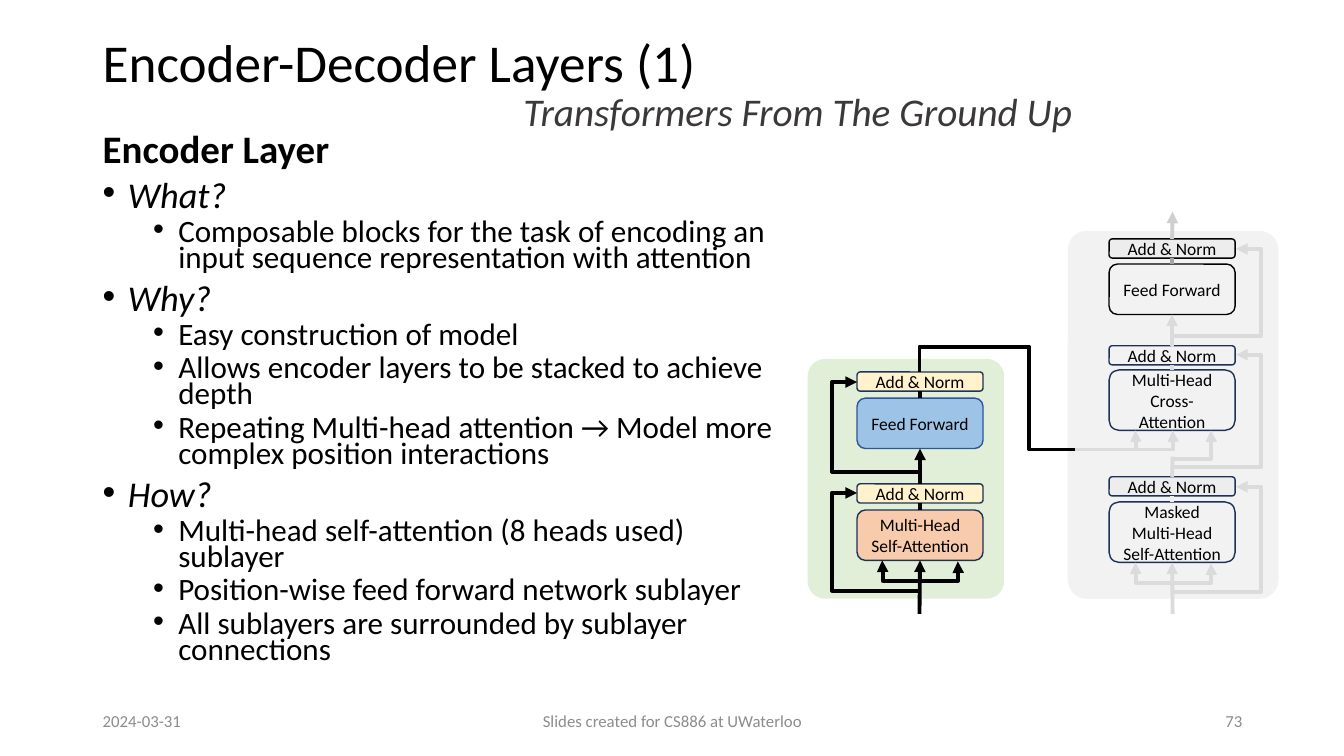
"""Build the slide on encoder and decoder layers of a transformer."""
from dataclasses import dataclass
from typing import Optional, Union

from lxml import etree
from pptx import Presentation
from pptx.dml.color import RGBColor
from pptx.enum import shapes, text
from pptx.oxml import ns
from pptx.util import Inches, Pt

BLACK = RGBColor(0x00, 0x00, 0x00)
GREY = RGBColor(0x8C, 0x8C, 0x8C)
CHARCOAL = RGBColor(0x3B, 0x38, 0x38)
NAVY = RGBColor(0x1E, 0x32, 0x56)
BLUE = RGBColor(0x2F, 0x55, 0x97)
SKY = RGBColor(0x9D, 0xC3, 0xE6)
CREAM = RGBColor(0xFF, 0xF2, 0xCC)
PEACH = RGBColor(0xF8, 0xCB, 0xAD)
GREEN = RGBColor(0xC5, 0xE0, 0xB4)
SILVER = RGBColor(0xE7, 0xE6, 0xE6)
PALE = RGBColor(0xF2, 0xF2, 0xF2)
MIST = RGBColor(0xED, 0xED, 0xED)
FADED = RGBColor(0xDB, 0xDB, 0xDB)
STONE = RGBColor(0xD0, 0xCE, 0xCE)
STEEL = RGBColor(0xA5, 0xA5, 0xA5)

LEFT, CENTER, RIGHT = text.PP_ALIGN.LEFT, text.PP_ALIGN.CENTER, text.PP_ALIGN.RIGHT
TOP, MIDDLE = text.MSO_ANCHOR.TOP, text.MSO_ANCHOR.MIDDLE
ENC_X, DEC_X = 9.12, 11.63
Point = tuple[float, float]


@dataclass
class Block:
    """A labelled layer box."""
    key: str
    label: str
    x: float
    y: float
    h: float
    fill: RGBColor
    line: RGBColor = NAVY


@dataclass
class Link:
    """An upward line from a point or box top to a point or box bottom."""
    start: Union[Point, str]
    end: Union[Point, str]
    color: RGBColor
    arrow: bool = False


@dataclass
class Bend:
    """An elbow line; turn holds its middle column x and first row y."""
    start: Point
    end: Point
    color: RGBColor
    turn: Optional[Point] = None
    arrow: bool = True


NORM_H = 0.19
BLOCKS = [
    Block("enc_ff", "Feed Forward", 8.5, 3.95, 0.5, SKY, BLUE),
    Block("dec_ff", "Feed Forward", 11, 2.62, 0.5, PALE, BLACK),
    Block("cross", "Multi-Head Cross-Attention", 11, 3.67, 0.6, PALE),
    Block("enc_norm2", "Add & Norm", 8.5, 3.69, NORM_H, CREAM),
    Block("dec_norm3", "Add & Norm", 11, 2.37, NORM_H, MIST, BLACK),
    Block("dec_norm2", "Add & Norm", 11, 3.43, NORM_H, PALE),
    Block("self", "Multi-Head Self-Attention", 8.5, 5.06, 0.5, PEACH),
    Block("enc_norm1", "Add & Norm", 8.5, 4.8, NORM_H, CREAM),
    Block("masked", "Masked Multi-Head Self-Attention", 11, 4.98, 0.6, PALE),
    Block("dec_norm1", "Add & Norm", 11, 4.73, NORM_H, MIST),
]
BENDS = [
    Bend((ENC_X, 5.9), (8.5, 4.89), BLACK, (8.25, 5.86)),
    Bend((ENC_X, 5.76), (8.75, 5.56), BLACK),
    Bend((ENC_X, 5.76), (9.5, 5.57), BLACK),
    Bend((ENC_X, 4.67), (8.5, 3.79), BLACK, (8.25, 4.68)),
    Bend((DEC_X, 3.44), (12.26, 2.47), FADED, (12.51, 3.33)),
    Bend((10.66, 4.46), (11.26, 4.27), FADED),
    Bend((ENC_X, 3.69), (10.66, 4.46), BLACK, (10.21, 3.44), False),
    Bend((DEC_X, 4.59), (12.26, 3.52), FADED, (12.51, 4.63)),
    Bend((DEC_X, 4.55), (12.01, 4.27), FADED),
    Bend((11.04, 4.46), (DEC_X, 4.27), FADED),
    Bend((DEC_X, 5.94), (12.26, 4.83), FADED, (12.51, 5.87)),
    Bend((DEC_X, 5.78), (11.26, 5.58), FADED),
    Bend((DEC_X, 5.78), (12.01, 5.59), FADED),
]
LINKS = [
    Link("self", "enc_norm1", BLACK),
    Link("masked", "dec_norm1", MIST),
    Link("dec_norm3", (DEC_X, 2.1), STONE, True),
    Link("enc_ff", "enc_norm2", BLACK),
    Link("cross", "dec_norm2", FADED),
    Link("dec_ff", "dec_norm3", STEEL),
    Link((ENC_X, 6.09), "self", BLACK, True),
    Link("enc_norm1", "enc_ff", BLACK, True),
    Link("dec_norm2", "dec_ff", FADED, True),
    Link("dec_norm1", (DEC_X, 4.53), FADED),
    Link((DEC_X, 6.09), "masked", FADED, True),
]
OUTLINE = [
    ("What?", ["Composable blocks for the task of encoding an input sequence "
               "representation with attention"]),
    ("Why?", ["Easy construction of model",
              "Allows encoder layers to be stacked to achieve depth",
              "Repeating Multi-head attention → Model more complex position interactions"]),
    ("How?", ["Multi-head self-attention (8 heads used) sublayer",
              "Position-wise feed forward network sublayer",
              "All sublayers are surrounded by sublayer connections"]),
]


def write(tf, words: str, *, size: float, color: RGBColor = BLACK, align=LEFT,
          anchor=MIDDLE, bold: bool = False, italic: bool = False,
          spacing: Optional[float] = None, before: float = 0,
          bullet_at: Optional[float] = None) -> None:
    """Write one paragraph, reusing the first one while it is empty."""
    tf.word_wrap, tf.vertical_anchor = True, anchor
    p = tf.paragraphs[0] if not tf.text else tf.add_paragraph()
    if bullet_at is not None:
        pr = p._p.get_or_add_pPr()
        pr.set("marL", str(Inches(bullet_at)))
        pr.set("indent", str(-Inches(0.25)))
        etree.SubElement(pr, ns.qn("a:buFont")).set("typeface", "Arial")
        etree.SubElement(pr, ns.qn("a:buChar")).set("char", "•")
    p.alignment, p.line_spacing = align, spacing
    if before:
        p.space_before = Pt(before)
    r = p.add_run()
    r.text = words
    r.font.name, r.font.size, r.font.color.rgb = "Calibri", Pt(size), color
    r.font.bold, r.font.italic = bold, italic


def add_box(s, x: float, y: float, w: float, h: float):
    """Add a text box and return its text frame."""
    return s.shapes.add_textbox(*map(Inches, (x, y, w, h))).text_frame


def add_round(s, x: float, y: float, w: float, h: float, fill: RGBColor):
    """Add a filled rounded rectangle without a shadow."""
    sp = s.shapes.add_shape(shapes.MSO_SHAPE.ROUNDED_RECTANGLE, *map(Inches, (x, y, w, h)))
    sp.shadow.inherit = False
    sp.fill.solid()
    sp.fill.fore_color.rgb = fill
    return sp


def add_panel(s, x: float, y: float, w: float, h: float, fill: RGBColor) -> None:
    """Add a half-transparent panel behind a stack of layers."""
    sp = add_round(s, x, y, w, h, fill)
    sp.adjustments[0] = 0.09
    sp.line.fill.background()
    clr = sp.element.spPr.find(".//" + ns.qn("a:srgbClr"))
    etree.SubElement(clr, ns.qn("a:alpha")).set("val", "50000")


def add_block(s, b: Block):
    """Add a labelled layer box."""
    sp = add_round(s, b.x, b.y, 1.25, b.h, b.fill)
    sp.line.color.rgb, sp.line.width = b.line, Pt(1)
    write(sp.text_frame, b.label, size=12.5, align=CENTER)
    return sp


def add_line(s, kind, start: Point, end: Point, color: RGBColor, arrow: bool):
    """Add a thick connector, with an arrowhead if asked."""
    cx = s.shapes.add_connector(kind, *map(Inches, start + end))
    cx.line.color.rgb, cx.line.width = color, Pt(2.75)
    pr = cx.element.spPr
    if arrow:
        etree.SubElement(pr.find(ns.qn("a:ln")), ns.qn("a:tailEnd")).set("type", "triangle")
    etree.SubElement(pr, ns.qn("a:effectLst"))
    return cx


def add_link(s, link: Link, boxes: dict) -> None:
    """Add a straight line and join it to the boxes it touches."""
    start = (0.0, 0.0) if isinstance(link.start, str) else link.start
    end = (0.0, 0.0) if isinstance(link.end, str) else link.end
    cx = add_line(s, shapes.MSO_CONNECTOR.STRAIGHT, start, end, link.color, link.arrow)
    if isinstance(link.start, str):
        cx.begin_connect(boxes[link.start], 0)
    if isinstance(link.end, str):
        cx.end_connect(boxes[link.end], 2)


def add_bend(s, b: Bend) -> None:
    """Add an elbow line: across then up, or up and around through its turn."""
    (x1, y1), (x2, y2) = b.start, b.end
    dx, dy = x2 - x1, y2 - y1
    cx = add_line(s, shapes.MSO_CONNECTOR.ELBOW, b.start, b.end, b.color, b.arrow)
    if b.turn:
        w, h = abs(dy), abs(dx)
        right_up = dx > 0 > dy
        rot, flip_h, flip_v = 90 if right_up else 270, right_up or dy > 0, right_up or dx < 0
        adjust = [(b.turn[1] - y1) / dy, (b.turn[0] - x1) / dx]
    else:
        w, h = abs(dx), abs(dy)
        rot, flip_h, flip_v = (180, False, False) if dx < 0 else (0, False, True)
        adjust = [0.99 if dx < 0 else 1.01]
    cx.left, cx.top = Inches((x1 + x2 - w) / 2), Inches((y1 + y2 - h) / 2)
    cx.width, cx.height = Inches(w), Inches(h)
    xfrm = cx.element.spPr.find(ns.qn("a:xfrm"))
    for name, value in (("rot", rot * 60000), ("flipH", int(flip_h)), ("flipV", int(flip_v))):
        xfrm.set(name, str(value))
    geom = cx.element.spPr.find(ns.qn("a:prstGeom"))
    geom.set("prst", f"bentConnector{len(adjust) + 2}")
    guides = geom.find(ns.qn("a:avLst"))
    for i, value in enumerate(adjust, 1):
        gd = etree.SubElement(guides, ns.qn("a:gd"))
        gd.set("name", f"adj{i}")
        gd.set("fmla", f"val {round(value * 100000)}")


def main() -> None:
    """Build and save the slide."""
    prs = Presentation()
    prs.slide_width, prs.slide_height = Inches(13.33), Inches(7.5)
    s = prs.slides.add_slide(prs.slide_layouts[6])
    write(add_box(s, 0.92, 0.15, 11.5, 0.99), "Encoder-Decoder Layers (1)", size=38, spacing=0.9)
    for words, x, w, align in (("2024-03-31", 0.92, 3, LEFT),
                               ("Slides created for CS886 at UWaterloo", 4.42, 4.5, CENTER),
                               ("73", 9.42, 3, RIGHT)):
        write(add_box(s, x, 6.95, w, 0.4), words, size=12, color=GREY, align=align)
    tf = add_box(s, 0.92, 1.31, 6.99, 5.38)
    write(tf, "Encoder Layer", size=27.8, bold=True, spacing=0.7, anchor=TOP)
    for question, answers in OUTLINE:
        write(tf, question, size=25.9, italic=True, spacing=0.7, before=10,
              bullet_at=0.25, anchor=TOP)
        for answer in answers:
            write(tf, answer, size=22.2, spacing=0.7, before=5, bullet_at=0.75, anchor=TOP)
    write(add_box(s, 0.99, 0.78, 9.74, 0.69), "Transformers From The Ground Up",
          size=28, color=CHARCOAL, italic=True, align=RIGHT, spacing=0.9)
    add_panel(s, 10.59, 2.29, 2.09, 3.65, SILVER)
    add_panel(s, 8.01, 3.56, 1.95, 2.38, GREEN)
    boxes = {b.key: add_block(s, b) for b in BLOCKS}
    for bend in BENDS:
        add_bend(s, bend)
    for link in LINKS:
        add_link(s, link, boxes)
    prs.save("out.pptx")


if __name__ == "__main__":
    main()
